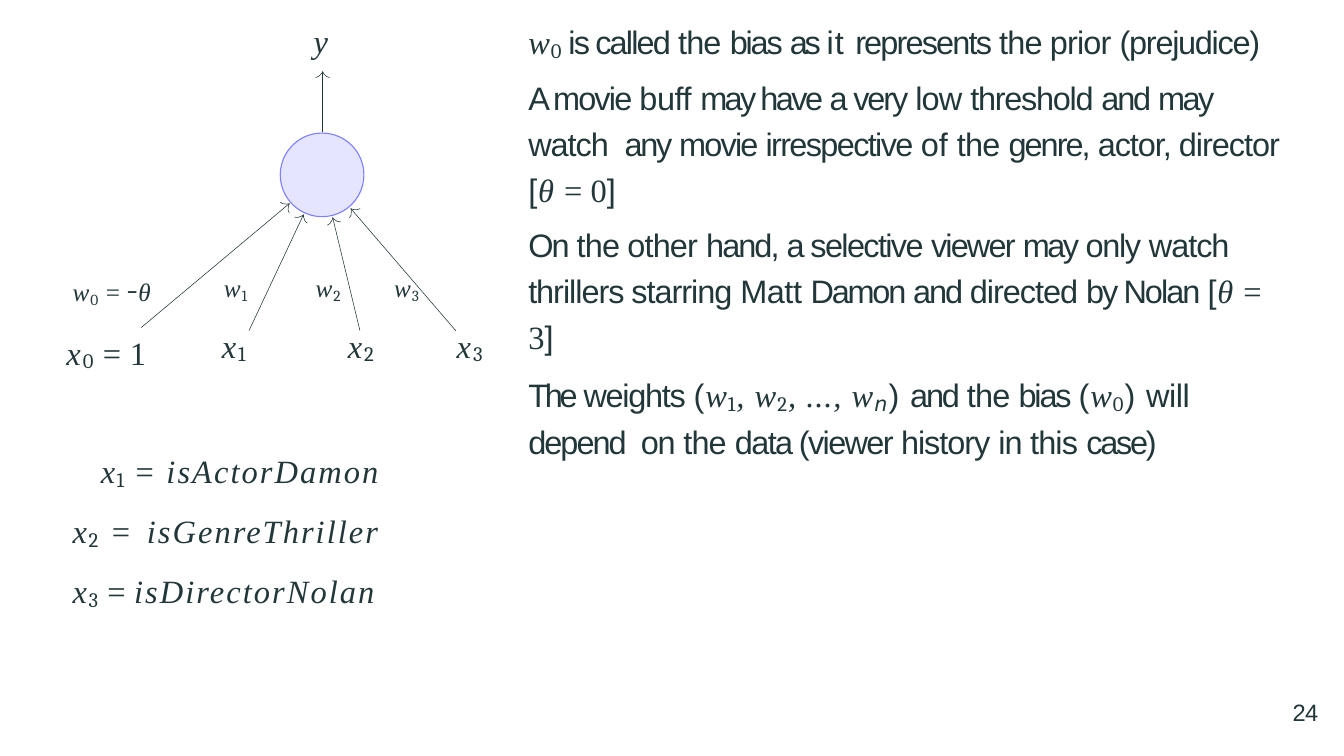
"""Build a slide on the bias of a perceptron that decides which movies to watch."""
import math

import pptx
import pptx.dml.color
import pptx.enum.shapes
import pptx.enum.text
import pptx.oxml.ns
import pptx.util
from lxml import etree

Inches, Pt = pptx.util.Inches, pptx.util.Pt
color = pptx.dml.color.RGBColor.from_string
qn = pptx.oxml.ns.qn
INK = "22373A"

PROSE = dict(face="Arial")
BRACKET = dict(PROSE, spacing=0.6)
SYMBOL = dict(face="Times New Roman", italic=True, spacing=0.7)
UPRIGHT = dict(face="Times New Roman")
INDEX = dict(face="Cambria", size=25.4, baseline=-10, spacing=0.8)
SMALL_SYMBOL = dict(SYMBOL, size=18)
SMALL_INDEX = dict(INDEX, size=19, baseline=-14, spacing=1.1)

WORDS_BY_TRACKING = {
    -2.9: "A",
    -2.3: "a The as",
    -1.8: "may have",
    -1.6: "any Damon case)",
    -1.5: "bias very and",
    -1.4: "genre, On hand, by Nolan depend",
    -1.3: "is called represents movie viewer",
    -1.15: "irrespective selective data (viewer",
    -0.9: "(prejudice) threshold only weights on",
    -0.75: "watch actor, director thrillers starring directed history",
    -0.6: "the prior low other in this",
    -0.3: "buff Matt will",
    0: "of",
    0.8: "it",
}
TRACKING = {word: points for points, words in WORDS_BY_TRACKING.items() for word in words.split()}


def write(paragraph, text, face="Arial", size=23.2, italic=False, spacing=0, baseline=0):
    run = paragraph.add_run()
    run.text = text
    run.font.name = face
    run.font.size = Pt(size)
    run.font.italic = italic
    run.font.color.rgb = color(INK)
    properties = run._r.get_or_add_rPr()
    properties.set("spc", str(round(spacing * 100)))
    if baseline:
        properties.set("baseline", str(baseline * 1000))


def add_label(left, top, width, height, pieces):
    frame = slide.shapes.add_textbox(*map(Inches, (left, top, width, height))).text_frame
    frame.margin_left = frame.margin_right = frame.margin_top = frame.margin_bottom = 0
    frame.word_wrap = True
    for text, style in pieces:
        write(frame.paragraphs[0], text, **style)
    return frame


presentation = pptx.Presentation()
presentation.slide_width = Inches(13.33)
presentation.slide_height = Inches(7.5)
slide = presentation.slides.add_slide(presentation.slide_layouts[1])
title = slide.shapes.title._element
title.getparent().remove(title)

neuron = slide.shapes.add_shape(
    pptx.enum.shapes.MSO_SHAPE.OVAL, Inches(2.78), Inches(1.32), Inches(0.83), Inches(0.83))
neuron.shadow.inherit = False
neuron.fill.solid()
neuron.fill.fore_color.rgb = color("E5E5FF")
neuron.line.color.rgb = color("7F7FFF")
neuron.line.width = Pt(0.8)

arrows = [
    (1.4, 3.25, 2.87, 2.02),
    (2.47, 3.28, 3.01, 2.13),
    (3.57, 3.28, 3.3, 2.16),
    (4.52, 3.28, 3.48, 2.07),
    (3.2, 1.31, 3.2, 0.71),
]
barb = [(0.06, 0.07), (0.05, 0.04), (0.03, 0.02), (0.02, 0.01), (0, 0)]
hook = barb + [(back, -side) for back, side in reversed(barb[:-1])]
for start_x, start_y, tip_x, tip_y in arrows:
    shaft = slide.shapes.add_connector(
        pptx.enum.shapes.MSO_CONNECTOR.STRAIGHT, *map(Inches, (start_x, start_y, tip_x, tip_y)))
    etree.SubElement(shaft._element.spPr, qn("a:effectLst"))
    angle = math.atan2(tip_y - start_y, tip_x - start_x)
    across, down = math.cos(angle), math.sin(angle)
    outline = [(Inches(tip_x - back * across - side * down),
                Inches(tip_y - back * down + side * across)) for back, side in hook]
    builder = slide.shapes.build_freeform(*outline[0])
    builder.add_line_segments(outline[1:], close=False)
    head = builder.convert_to_shape()
    head.shadow.inherit = False
    head.fill.background()
    for stroke in (shaft, head):
        stroke.line.color.rgb = color(INK)
        stroke.line.width = Pt(0.4)

add_label(3.11, 0.21, 0.22, 0.4, [("y", SYMBOL)])
add_label(0.66, 3.27, 1.1, 0.4, [
    ("x", dict(SYMBOL, spacing=1.4)), ("0", INDEX), (" = 1", dict(UPRIGHT, spacing=0.2))])
add_label(0.72, 2.73, 1.05, 0.32, [
    ("w", SMALL_SYMBOL), ("0", SMALL_INDEX), (" = ", dict(UPRIGHT, size=18, spacing=-0.3)),
    ("−", dict(SMALL_SYMBOL, face="Roboto Condensed", spacing=0.2)),
    ("θ", dict(SMALL_SYMBOL, spacing=0.2))])
for number, weight_left, input_left in [("1", 2.22, 2.2), ("2", 3.13, 3.45), ("3", 3.91, 4.53)]:
    add_label(weight_left, 2.69, 0.4, 0.32, [("w", SMALL_SYMBOL), (number, SMALL_INDEX)])
    add_label(input_left, 3.2, 0.4, 0.4, [("x", dict(SYMBOL, spacing=1.4)), (number, INDEX)])

meanings = add_label(0.72, 4.28, 3.6, 1.8, [])
features = [("1", "isActorDamon", 1.6), ("2", "isGenreThriller", 3.1), ("3", "isDirectorNolan", 0.1)]
for number, meaning, gap in features:
    line = meanings.paragraphs[0] if number == "1" else meanings.add_paragraph()
    line.line_spacing = 1.39
    if number == "1":
        line._p.get_or_add_pPr().set("indent", str(Inches(0.28)))
    write(line, "x", **dict(SYMBOL, spacing=1.1))
    write(line, number, **INDEX)
    write(line, " = ", **dict(UPRIGHT, spacing=gap))
    write(line, meaning, **dict(SYMBOL, spacing=1.5))

remarks = [
    [("w", SYMBOL), ("0 ", INDEX),
     ("is called the bias as it represents the prior (prejudice)", PROSE)],
    [("A movie buff may have a very low threshold and may", PROSE), ("\n", PROSE),
     ("watch", PROSE), (" ", dict(PROSE, spacing=4.8)),
     ("any movie irrespective of the genre, actor, director ", PROSE), ("\n", PROSE),
     ("[", BRACKET), ("θ ", SYMBOL), ("= 0", UPRIGHT), ("]", BRACKET)],
    [("On the other hand, a selective viewer may only watch", PROSE), ("\n", PROSE),
     ("thrillers starring Matt Damon and directed by Nolan ", PROSE),
     ("[", BRACKET), ("θ ", SYMBOL), ("=", UPRIGHT), ("\n", PROSE),
     ("3", UPRIGHT), ("]", BRACKET)],
    [("The weights ", PROSE), ("(", BRACKET),
     ("w", SYMBOL), ("1", INDEX), (", w", SYMBOL), ("2", INDEX), (", ..., w", SYMBOL),
     ("n", dict(INDEX, face="DejaVu Sans", italic=True)), (") ", BRACKET),
     ("and the bias ", PROSE), ("(", BRACKET), ("w", SYMBOL), ("0", INDEX), (") ", BRACKET),
     ("will", PROSE), ("\n", PROSE),
     ("depend", PROSE), (" ", dict(PROSE, spacing=3.6)),
     ("on the data (viewer history in this case)", PROSE)],
]
body = slide.placeholders[1]
body.left, body.top, body.width, body.height = map(Inches, (4.91, 0, 8.1, 4.7))
discussion = body.text_frame
discussion.word_wrap = True
discussion.auto_size = pptx.enum.text.MSO_AUTO_SIZE.NONE
discussion.margin_left = discussion.margin_right = discussion.margin_bottom = 0
discussion.margin_top = Inches(0.19)
for position, pieces in enumerate(remarks):
    remark = discussion.add_paragraph() if position else discussion.paragraphs[0]
    remark.space_before = Pt(6.3 if position else 0)
    remark.line_spacing = 1.18 if position else 1
    layout = remark._p.get_or_add_pPr()
    layout.set("marL", str(Inches(0.33)))
    layout.set("indent", "0")
    etree.SubElement(layout, qn("a:buNone"))
    for text, style in pieces:
        if text == "\n":
            remark.add_line_break()
        elif style is PROSE:
            words = text.split()
            for order, word in enumerate(words, 1):
                spaced = order < len(words) or text.endswith(" ")
                write(remark, word + " " * spaced, **dict(PROSE, spacing=TRACKING[word]))
        else:
            write(remark, text, **style)

add_label(12.82, 6.92, 0.31, 0.29, [("24", dict(PROSE, size=16.9, spacing=-0.4))])

presentation.save("out.pptx")
